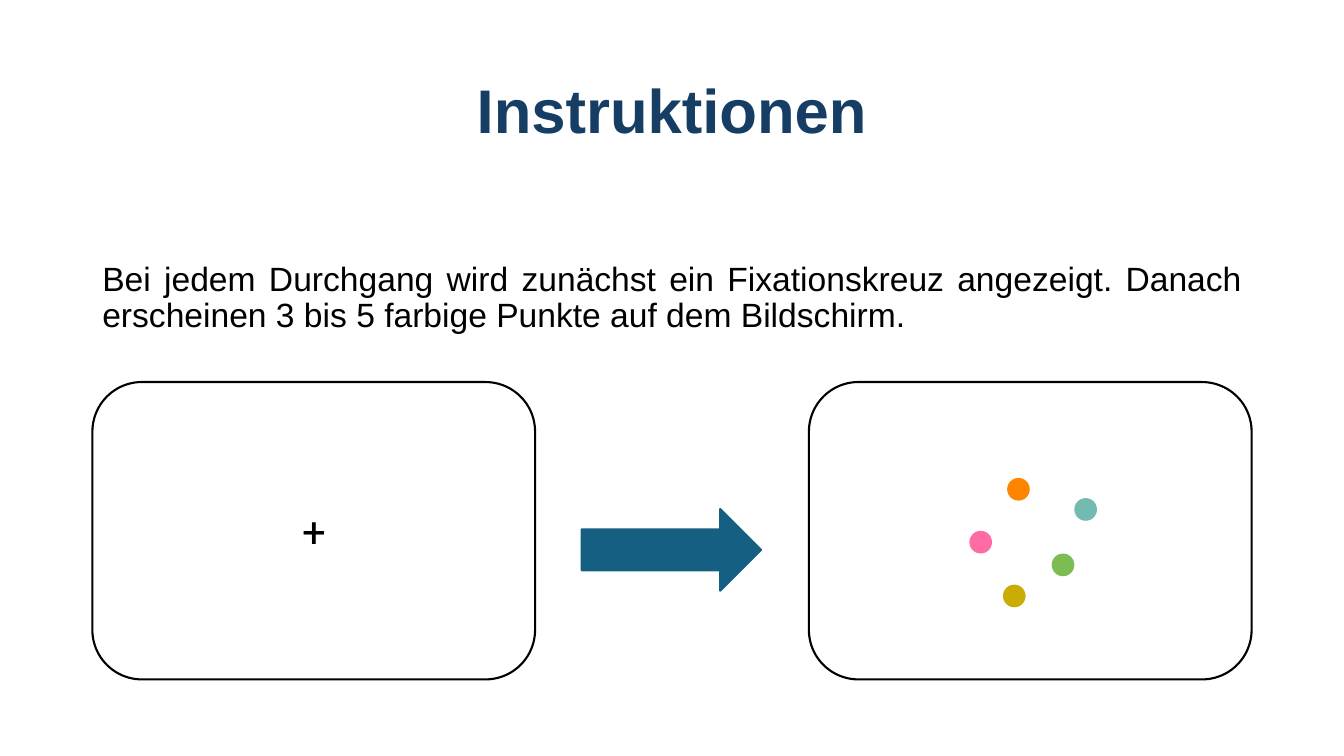
from dataclasses import dataclass
from typing import Optional

from pptx import Presentation
from pptx.dml.color import RGBColor
from pptx.enum.shapes import MSO_SHAPE
from pptx.enum.text import MSO_ANCHOR, PP_ALIGN
from pptx.util import Inches, Pt

COLORS = {
    "navy": "163E64",
    "black": "000000",
    "petrol": "156082",
    "pink": "FF6CA4",
    "ochre": "C9AC04",
    "orange": "FF8501",
    "green": "7BBD52",
    "teal": "73BAB0",
}
COLUMNS, ROWS = 160, 90
MARGIN, CONTENT_WIDTH = 11, 138
PANEL_TOP, PANEL_WIDTH, PANEL_HEIGHT = 45.48, 52.7, 35.4
DOT_SIZE = 2.7

deck = Presentation()
deck.slide_width, deck.slide_height = Inches(13.333), Inches(7.5)
page = deck.slides.add_slide(deck.slide_layouts[6])


@dataclass(frozen=True)
class Area:
    """Place and size in grid columns and rows."""
    column: float
    row: float
    width: float
    height: float

    def lengths(self) -> tuple:
        column, row = deck.slide_width / COLUMNS, deck.slide_height / ROWS
        return (round(self.column * column), round(self.row * row),
                round(self.width * column), round(self.height * row))


@dataclass(frozen=True)
class Label:
    text: str
    area: Area
    size: int
    color: str
    align: PP_ALIGN
    font: str = "Arial"
    bold: bool = False
    anchor: MSO_ANCHOR = MSO_ANCHOR.TOP
    wrap: bool = True
    line_spacing: float = 0.9


@dataclass(frozen=True)
class Dot:
    color: str
    column: float
    row: float


def add_label(shapes, label: Label) -> None:
    frame = shapes.add_textbox(*label.area.lengths()).text_frame
    frame.word_wrap = label.wrap
    frame.vertical_anchor = label.anchor
    para = frame.paragraphs[0]
    para.text = label.text
    para.alignment = label.align
    para.line_spacing = label.line_spacing
    para.font.name = label.font
    para.font.size = Pt(label.size)
    para.font.bold = label.bold
    para.font.color.rgb = RGBColor.from_string(COLORS[label.color])


def add_figure(shapes, kind: MSO_SHAPE, area: Area,
               fill: Optional[str] = None, line: Optional[str] = None) -> None:
    shape = shapes.add_shape(kind, *area.lengths())
    shape.shadow.inherit = False
    if fill:
        shape.fill.solid()
        shape.fill.fore_color.rgb = RGBColor.from_string(COLORS[fill])
    else:
        shape.fill.background()
    if line:
        shape.line.color.rgb = RGBColor.from_string(COLORS[line])
        shape.line.width = Pt(1.5)
    else:
        shape.line.fill.background()


def add_panel(shapes, column: float) -> None:
    area = Area(column, PANEL_TOP, PANEL_WIDTH, PANEL_HEIGHT)
    add_figure(shapes, MSO_SHAPE.ROUNDED_RECTANGLE, area, line="black")


TITLE = Label("Instruktionen", Area(MARGIN, 4.8, CONTENT_WIDTH, 17.4), 44, "navy",
              PP_ALIGN.CENTER, bold=True, anchor=MSO_ANCHOR.MIDDLE)
INSTRUCTION = Label(
    "Bei jedem Durchgang wird zunächst ein Fixationskreuz angezeigt. "
    "Danach erscheinen 3 bis 5 farbige Punkte auf dem Bildschirm.",
    Area(MARGIN, 30.6, CONTENT_WIDTH, 11), 24, "black", PP_ALIGN.JUSTIFY)
FIXATION_CROSS = Label("+", Area(34.8, 59.64, 5.16, 7.32), 30, "black", PP_ALIGN.LEFT,
                       font="Roboto", wrap=False, line_spacing=1.0)
DOTS = [
    Dot("pink", 115.4, 63.2),
    Dot("ochre", 119.4, 69.6),
    Dot("orange", 119.9, 56.9),
    Dot("green", 125.2, 65.9),
    Dot("teal", 127.9, 59.3),
]

add_label(page.shapes, TITLE)
add_label(page.shapes, INSTRUCTION)

fixation_screen = page.shapes.add_group_shape().shapes
add_panel(fixation_screen, MARGIN)
add_label(fixation_screen, FIXATION_CROSS)

add_figure(page.shapes, MSO_SHAPE.RIGHT_ARROW, Area(69.24, 60.6, 21.36, 9.72),
           fill="petrol", line="petrol")

dot_screen = page.shapes.add_group_shape().shapes
for dot in DOTS:
    add_figure(dot_screen, MSO_SHAPE.OVAL,
               Area(dot.column, dot.row, DOT_SIZE, DOT_SIZE), fill=dot.color)
add_panel(dot_screen, MARGIN + CONTENT_WIDTH - PANEL_WIDTH)

deck.save("out.pptx")
